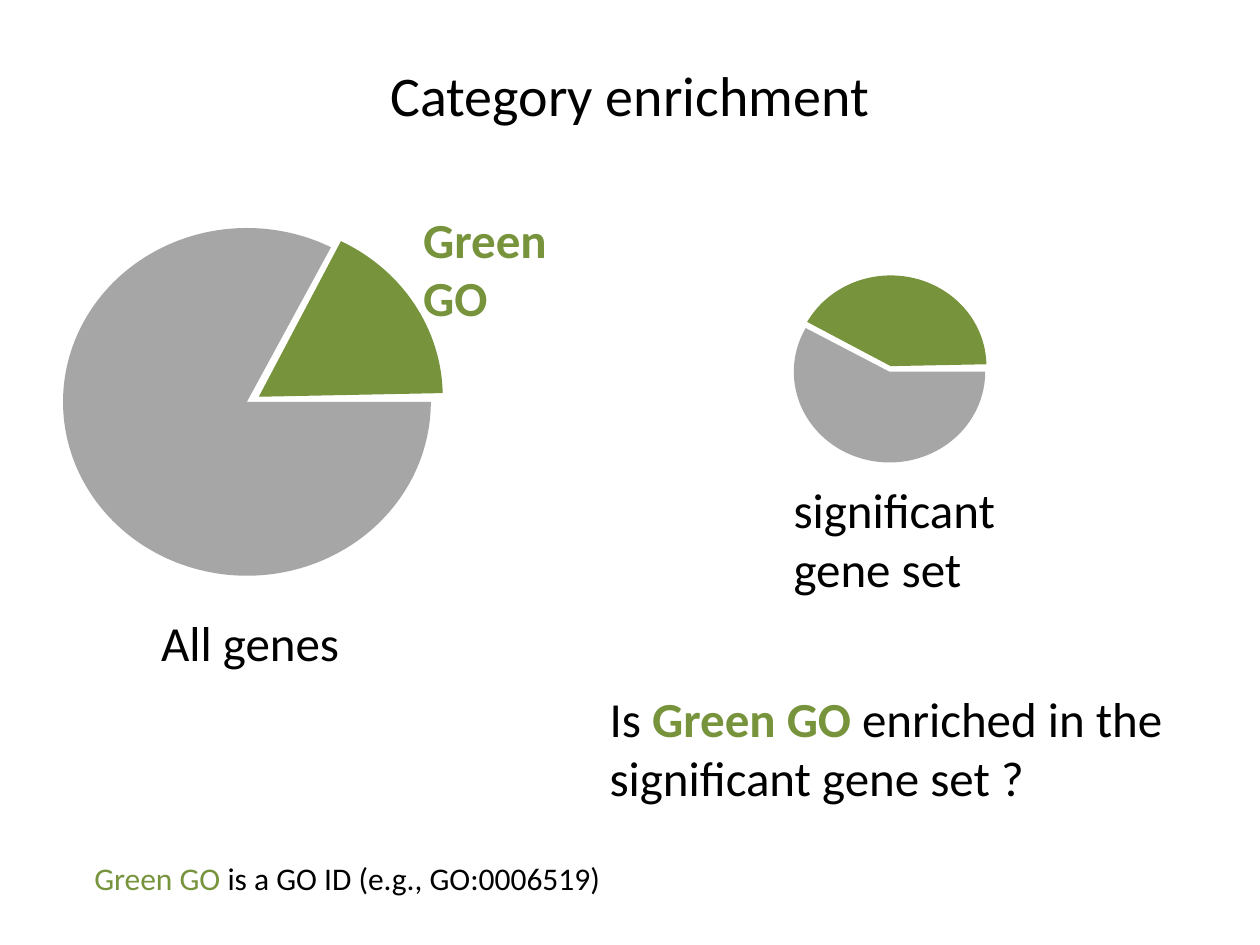
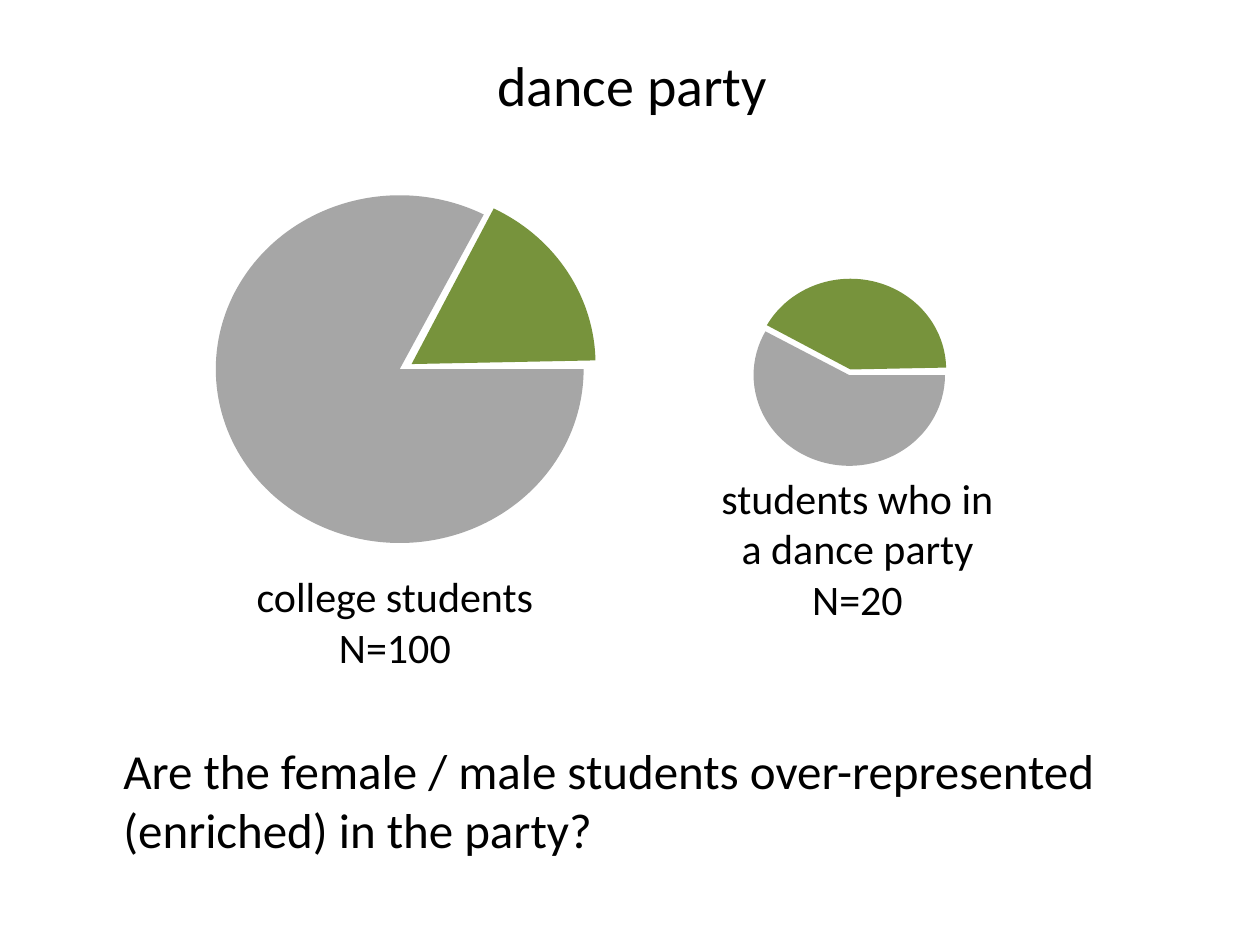
import pptx
import pptx.dml.color
import pptx.enum.shapes
import pptx.enum.text
import pptx.util

Pt = pptx.util.Pt
BLACK = pptx.dml.color.RGBColor(0x00, 0x00, 0x00)
GRAY = pptx.dml.color.RGBColor(0xA6, 0xA6, 0xA6)
GREEN = pptx.dml.color.RGBColor(0x77, 0x93, 0x3C)
FONT = "Calibri"
TITLE_SIZE = 32
LEFT = pptx.enum.text.PP_ALIGN.LEFT
CENTER = pptx.enum.text.PP_ALIGN.CENTER
ADJUSTMENT_PER_DEGREE = 0.6
LAST_ANGLE = 358.87

PIES = {
    "population": {"size": (210.2, 198.7), "gray_end": 298.53,
                   "green_start": 297.83, "green_offset": (6.8, -2.9)},
    "subset": {"size": (109.4, 103.7), "gray_end": 207.52,
               "green_start": 207.89, "green_offset": (0.7, -3.2)},
}

SLIDES = [
    {
        "title": ("Category enrichment", (36, 21.6, 648, 64.8)),
        "pies": [("population", (36, 130.3)), ("subset", (453.6, 160.6))],
        "texts": [
            ((85, 346.3, 117.4, 41), 28, LEFT, False,
             [[("All genes", BLACK, False)]]),
            ((446.4, 270.7, 131.8, 74.9), 28, LEFT, False,
             [[("significant", BLACK, False)], [("gene set", BLACK, False)]]),
            ((341.3, 390.2, 336.2, 74.9), 28, LEFT, True,
             [[("Is ", BLACK, False), ("Green GO", GREEN, True),
               (" enriched in the significant gene set ?", BLACK, False)]]),
            ((234.7, 115.9, 87.8, 74.9), 28, LEFT, True,
             [[("Green GO", GREEN, True)]]),
            ((46.8, 487.4, 306.7, 28.8), 18, LEFT, False,
             [[("Green GO ", GREEN, False),
               ("is a GO ID (e.g., GO:0006519)", BLACK, False)]]),
        ],
    },
    {
        "title": ("dance party", (37.4, 21.6, 648, 53.3)),
        "pies": [("population", (123.3, 111.6)), ("subset", (430.6, 162.5))],
        "texts": [
            ((138.2, 322.6, 175, 65.5), 24, CENTER, False,
             [[("college students", BLACK, False)], [("N=100", BLACK, False)]]),
            ((402.5, 266.4, 175, 94.3), 24, CENTER, True,
             [[("students who in a dance party", BLACK, False)],
              [("N=20", BLACK, False)]]),
            ((63.4, 419.8, 582.5, 74.9), 28, LEFT, True,
             [[("Are the female / male students over-represented "
                "(enriched) in the party?", BLACK, False)]]),
        ],
    },
]


def add_run(paragraph, text, size, color, bold=False):
    run = paragraph.add_run()
    run.text = text
    run.font.name = FONT
    run.font.size = Pt(size)
    run.font.color.rgb = color
    run.font.bold = bold


def set_title(slide, text, box):
    title = slide.shapes.title
    title.left, title.top, title.width, title.height = map(Pt, box)
    frame = title.text_frame
    frame.vertical_anchor = pptx.enum.text.MSO_ANCHOR.MIDDLE
    paragraph = frame.paragraphs[0]
    paragraph.alignment = CENTER
    add_run(paragraph, text, TITLE_SIZE, BLACK)


def add_sector(slide, left, top, size, start, end, color):
    shape = slide.shapes.add_shape(
        pptx.enum.shapes.MSO_SHAPE.PIE, Pt(left), Pt(top), *map(Pt, size))
    shape.adjustments[0] = start * ADJUSTMENT_PER_DEGREE
    shape.adjustments[1] = end * ADJUSTMENT_PER_DEGREE
    shape.shadow.inherit = False
    shape.fill.solid()
    shape.fill.fore_color.rgb = color
    shape.line.fill.background()


def add_pie(slide, name, position):
    pie = PIES[name]
    left, top = position
    shift_x, shift_y = pie["green_offset"]
    add_sector(slide, left, top, pie["size"], 0, pie["gray_end"], GRAY)
    add_sector(slide, left + shift_x, top + shift_y, pie["size"],
               pie["green_start"], LAST_ANGLE, GREEN)


def add_text(slide, box, size, alignment, wrap, paragraphs):
    frame = slide.shapes.add_textbox(*map(Pt, box)).text_frame
    frame.word_wrap = wrap
    frame.auto_size = pptx.enum.text.MSO_AUTO_SIZE.SHAPE_TO_FIT_TEXT
    for index, runs in enumerate(paragraphs):
        paragraph = frame.add_paragraph() if index else frame.paragraphs[0]
        paragraph.alignment = alignment
        for text, color, bold in runs:
            add_run(paragraph, text, size, color, bold)


def main():
    presentation = pptx.Presentation()
    presentation.slide_width = Pt(720)
    presentation.slide_height = Pt(540)
    title_only = presentation.slide_layouts.get_by_name("Title Only")
    for content in SLIDES:
        slide = presentation.slides.add_slide(title_only)
        set_title(slide, *content["title"])
        for name, position in content["pies"]:
            add_pie(slide, name, position)
        for text in content["texts"]:
            add_text(slide, *text)
    presentation.save("out.pptx")


if __name__ == "__main__":
    main()
